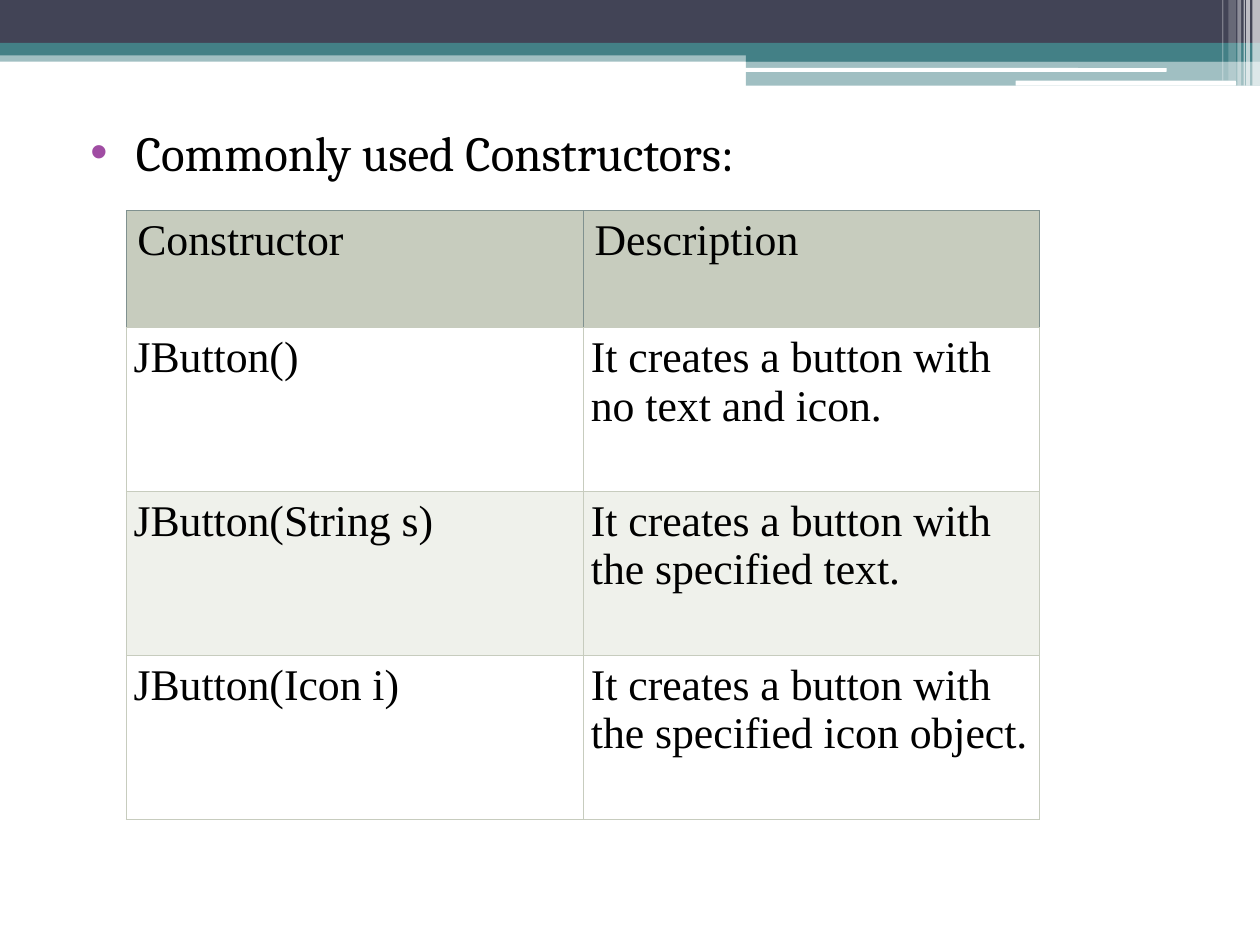
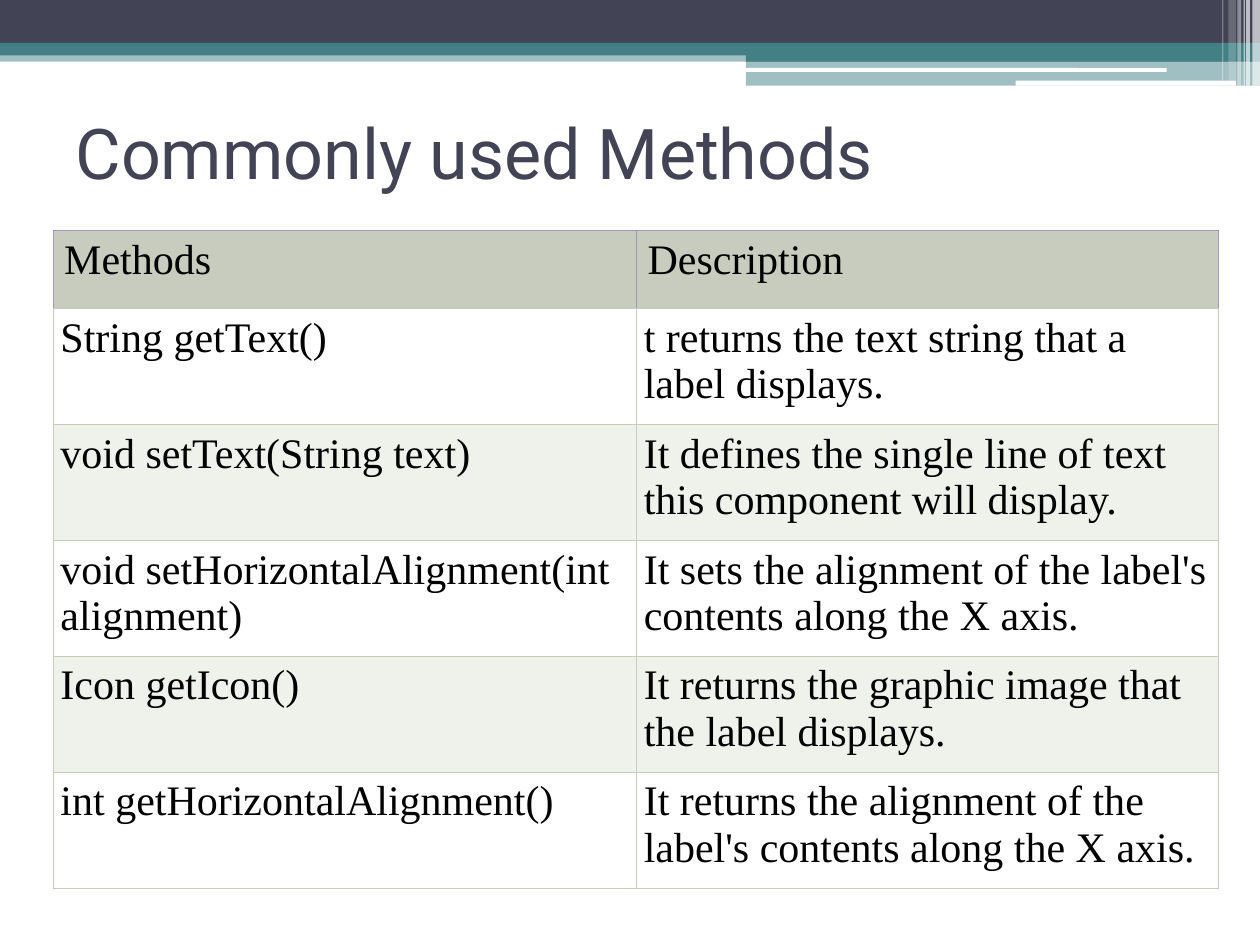
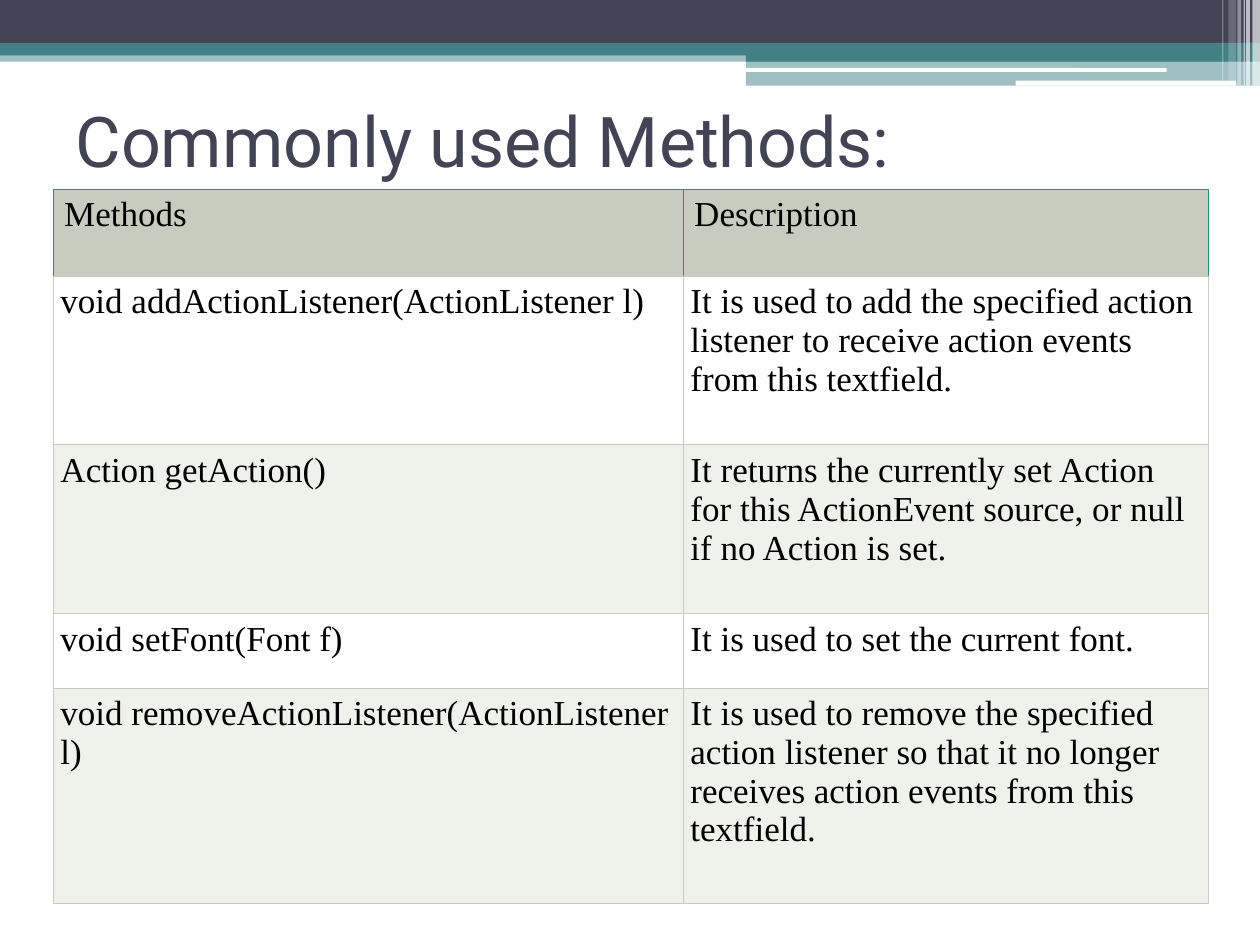
from dataclasses import dataclass

import pptx
import pptx.dml.color
import pptx.enum.shapes
import pptx.enum.text
import pptx.oxml
import pptx.oxml.ns
import pptx.util
from lxml import etree

Inches, Pt = pptx.util.Inches, pptx.util.Pt
qn = pptx.oxml.ns.qn
RGB = pptx.dml.color.RGBColor.from_string
MSO_SHAPE = pptx.enum.shapes.MSO_SHAPE


@dataclass(frozen=True)
class Theme:
    navy: str = "424456"
    teal: str = "438086"
    white: str = "FFFFFF"
    black: str = "000000"
    bullet: str = "A04DA3"
    sage: str = "C7CCBE"
    pale: str = "EFF1EB"
    title_font: str = "Roboto"
    lead_font: str = "Cambria"
    table_font: str = "Times New Roman"
    title_size: int = 40
    lead_size: int = 28
    border: float = 0.34


THEME = Theme()

# left, top, width, height, colour, opacity in percent
BANDS = [
    (0, 0.4, 10, 0.09, THEME.teal, 50),
    (0, 0, 10, 0.34, THEME.navy, 100),
    (0, 0.34, 10, 0.1, THEME.teal, 100),
    (5.92, 0.39, 4.08, 0.1, THEME.teal, 100),
    (5.92, 0.48, 4.08, 0.2, THEME.teal, 50),
]
ROUNDED_BARS = [
    (5.91, 0.54, 3.35, 0.03, THEME.white, 100),
    (8.06, 0.64, 1.75, 0.04, THEME.white, 100),
]
STRIPES = [
    (left, 0, width, height, THEME.white, opacity)
    for left, width, height, opacity in [
        (9.94, 0.06, 0.68, 65), (9.89, 0.03, 0.68, 65), (9.87, 0.01, 0.68, 60),
        (9.82, 0.03, 0.68, 40), (9.75, 0.06, 0.64, 20), (9.7, 0.01, 0.64, 30),
    ]
]

SLIDES = [
    {
        "lead": "Commonly used Constructors:",
        "at": (1, 1.67), "cols": [3.63, 3.62], "row_heights": [0.93] + [1.3] * 3,
        "size": 25, "header_border": "80918F",
        "rows": [
            ("Constructor", "Description"),
            ("JButton()", "It creates a button with no text and icon."),
            ("JButton(String s)", "It creates a button with the specified text."),
            ("JButton(Icon i)", "It creates a button with the specified icon object."),
        ],
    },
    {
        "title": "Commonly used Methods", "title_top": 0.85,
        "at": (0.42, 1.83), "cols": [4.63, 4.62], "row_heights": [0.62] + [0.92] * 5,
        "size": 24, "header_border": "A096BC",
        "rows": [
            ("Methods", "Description"),
            ("String getText()", "t returns the text string that a label displays."),
            ("void setText(String text)",
             "It defines the single line of text this component will display."),
            ("void setHorizontalAlignment(int alignment)",
             "It sets the alignment of the label's contents along the X axis."),
            ("Icon getIcon()", "It returns the graphic image that the label displays."),
            ("int getHorizontalAlignment()",
             "It returns the alignment of the label's contents along the X axis."),
        ],
    },
    {
        "title": "Commonly used Methods:", "title_top": 0.76,
        "at": (0.42, 1.5), "cols": [5, 4.17], "row_heights": [0.69, 1.34, 1.34, 0.59, 1.71],
        "size": 20, "header_border": "209278",
        "rows": [
            ("Methods", "Description"),
            ("void addActionListener(ActionListener l)",
             "It is used to add the specified action listener to receive action events "
             "from this textfield."),
            ("Action getAction()",
             "It returns the currently set Action for this ActionEvent source, or null "
             "if no Action is set."),
            ("void setFont(Font f)", "It is used to set the current font."),
            ("void removeActionListener(ActionListener l)",
             "It is used to remove the specified action listener so that it no longer "
             "receives action events from this textfield."),
        ],
    },
]


def set_format(target, values):
    for name, value in values.items():
        setattr(target, name, value)


def write(tf, text, font, size, color):
    p = tf.paragraphs[0]
    p.alignment = pptx.enum.text.PP_ALIGN.LEFT
    r = p.add_run()
    r.text = text
    set_format(r.font, {"name": font, "size": Pt(size), "bold": False})
    r.font.color.rgb = RGB(color)
    return p


def add_bar(s, kind, left, top, width, height, color, opacity):
    sp = s.shapes.add_shape(kind, *map(Inches, (left, top, width, height)))
    sp.shadow.inherit = False
    sp.line.fill.background()
    sp.fill.solid()
    sp.fill.fore_color.rgb = RGB(color)
    if opacity < 100:
        clr = next(sp.element.spPr.iter(qn("a:srgbClr")))
        etree.SubElement(clr, qn("a:alpha"), val=str(opacity * 1000))
    return sp


def move_bands_to_master(prs, s):
    """Draw the header bands on s, then hand them to the master behind its placeholders."""
    bars = [add_bar(s, kind, *bar)
            for kind, group in [(MSO_SHAPE.RECTANGLE, BANDS),
                                (MSO_SHAPE.ROUNDED_RECTANGLE, ROUNDED_BARS),
                                (MSO_SHAPE.RECTANGLE, STRIPES)]
            for bar in group]
    tree = prs.slide_master.shapes.element
    for i, sp in enumerate(bars):
        next(sp.element.iter(qn("p:cNvPr"))).set("id", str(100 + i))
        tree.insert(2 + i, sp.element)


def format_title(s, text, top):
    sp = s.shapes.title
    set_format(sp, {"left": Inches(0.5), "top": Inches(top),
                    "width": Inches(9), "height": Inches(0.7)})
    set_format(sp.text_frame, {
        "auto_size": pptx.enum.text.MSO_AUTO_SIZE.NONE,
        "vertical_anchor": pptx.enum.text.MSO_ANCHOR.MIDDLE,
    })
    write(sp.text_frame, text, THEME.title_font, THEME.title_size, THEME.navy)


def add_lead(s, text):
    sp = s.shapes.add_textbox(*map(Inches, (0.5, 0.92, 9, 0.65)))
    sp.text_frame.word_wrap = True
    p = write(sp.text_frame, text, THEME.lead_font, THEME.lead_size, THEME.black)
    pPr = next(sp.element.iter(qn("a:pPr")))
    pPr.set("marL", str(Inches(0.48)))
    pPr.set("indent", str(Inches(-0.36)))
    clr = etree.SubElement(pPr, qn("a:buClr"))
    etree.SubElement(clr, qn("a:srgbClr"), val=THEME.bullet)
    etree.SubElement(pPr, qn("a:buFont"), typeface="Arial")
    etree.SubElement(pPr, qn("a:buChar"), char="•")


def set_borders(tcPr, colors):
    """Put the left, right, top and bottom borders ahead of the cell's fill."""
    for i, (side, color) in enumerate(zip("LRTB", colors)):
        ln = etree.Element(qn(f"a:ln{side}"), w=str(Pt(THEME.border)))
        fill = etree.SubElement(ln, qn("a:solidFill"))
        etree.SubElement(fill, qn("a:srgbClr"), val=color)
        tcPr.insert(i, ln)


def add_method_table(s, spec_):
    rows, cols, heights = spec_["rows"], spec_["cols"], spec_["row_heights"]
    frame = s.shapes.add_table(
        len(rows), len(cols), *map(Inches, (*spec_["at"], sum(cols), sum(heights))))
    table = frame.table
    set_format(table, {"first_row": False, "horz_banding": False})
    for col, width in zip(table.columns, cols):
        col.width = Inches(width)
    for i, (row, height) in enumerate(zip(table.rows, heights)):
        row.height = Inches(height)
        side = Inches(0.06 if i else 0.09)
        color = (THEME.pale, THEME.white)[i % 2] if i else THEME.sage
        for cell, text in zip(row.cells, rows[i]):
            set_format(cell, {"margin_left": side, "margin_right": side,
                              "margin_top": Inches(0.05), "margin_bottom": Inches(0.05)})
            cell.fill.solid()
            cell.fill.fore_color.rgb = RGB(color)
            write(cell.text_frame, text, THEME.table_font, spec_["size"], THEME.black)
    for n, tcPr in enumerate(frame.element.iter(qn("a:tcPr"))):
        edge = spec_["header_border"] if n < len(cols) else THEME.sage
        set_borders(tcPr, [edge] * 3 + [THEME.sage])


def main():
    prs = pptx.Presentation()
    prs.slide_width, prs.slide_height = Inches(10), Inches(7.5)
    title_only, blank = prs.slide_layouts[5], prs.slide_layouts[6]
    for i, content in enumerate(SLIDES):
        s = prs.slides.add_slide(title_only if "title" in content else blank)
        if i == 0:
            move_bands_to_master(prs, s)
        if "title" in content:
            format_title(s, content["title"], content["title_top"])
        else:
            add_lead(s, content["lead"])
        add_method_table(s, content)
    prs.save("out.pptx")


if __name__ == "__main__":
    main()
